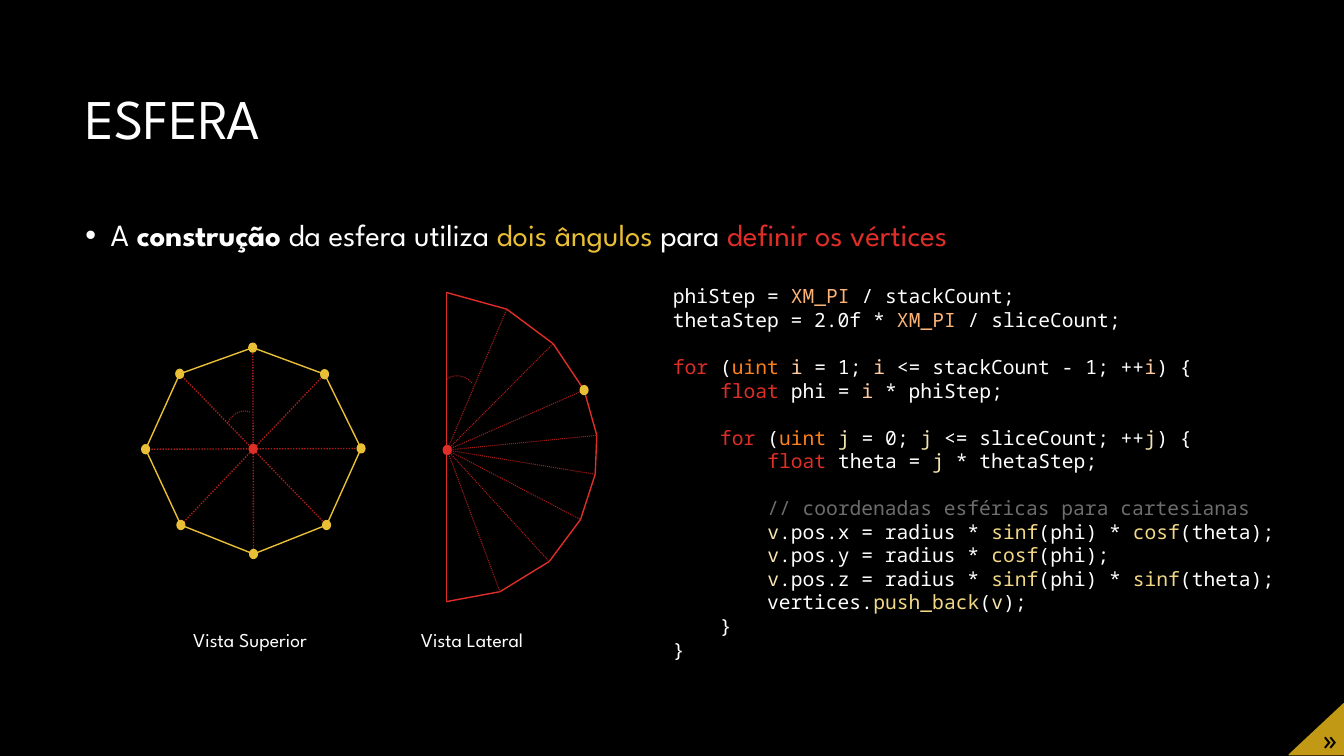
from itertools import pairwise
from typing import NamedTuple

from lxml.etree import SubElement
from pptx import Presentation
from pptx.dml.color import RGBColor
from pptx.enum.dml import MSO_LINE
from pptx.enum.shapes import MSO_CONNECTOR, MSO_SHAPE
from pptx.enum.text import MSO_ANCHOR, PP_ALIGN
from pptx.oxml.ns import qn
from pptx.util import Cm, Pt

BLACK = RGBColor(0x00, 0x00, 0x00)
WHITE = RGBColor(0xFF, 0xFF, 0xFF)
RED = RGBColor(0xDF, 0x2E, 0x28)
DARK_RED = RGBColor(0xAC, 0x1E, 0x1A)
YELLOW = RGBColor(0xE9, 0xBF, 0x35)
GOLD = RGBColor(0xC1, 0x99, 0x15)
ORANGE = RGBColor(0xFE, 0x80, 0x1A)
PEACH = RGBColor(0xFE, 0xB3, 0x76)
PALE_PEACH = RGBColor(0xFF, 0xCC, 0xA3)
CREAM = RGBColor(0xF6, 0xE5, 0xAE)
SAND = RGBColor(0xF2, 0xD9, 0x86)
GRAY = RGBColor(0x6D, 0x6D, 0x6D)

TEXT_FONT = "League Spartan"
CODE_FONT = "Noto Sans Mono"
CODE_LINE = Pt(16.85)


class Span(NamedTuple):
    text: str
    color: RGBColor = WHITE
    bold: bool = False


class Point(NamedTuple):
    x: float
    y: float


class Frame(NamedTuple):
    left: float
    top: float
    width: float
    height: float

    def lengths(self) -> list[Cm]:
        return [Cm(value) for value in self]


class Stroke(NamedTuple):
    color: RGBColor
    width: float = 1
    dotted: bool = False


class Caption(NamedTuple):
    text: str
    frame: Frame


I, J, V = Span("i", PALE_PEACH), Span("j", CREAM), Span("v", CREAM)
PI, FLOAT, UINT = Span("XM_PI ", PEACH), Span("float ", RED), Span("uint ", ORANGE)
SINF, COSF = Span("sinf", SAND), Span("cosf", SAND)
INDENT, DEEP_INDENT = Span("    "), Span("        ")

# Each block of lines is set apart by one empty line
CODE_BLOCKS = [
    [
        [Span("phiStep = "), PI, Span("/ stackCount;")],
        [Span("thetaStep = 2.0f * "), PI, Span("/ sliceCount;")],
    ],
    [
        [Span("for", RED), Span(" ("), UINT, I, Span(" = 1; "), I,
         Span(" <= stackCount - 1; ++"), I, Span(") {")],
        [INDENT, FLOAT, Span("phi = "), I, Span(" * phiStep;")],
    ],
    [
        [Span("    for", RED), Span(" ("), UINT, J, Span(" = 0; "), J,
         Span(" <= sliceCount; ++"), J, Span(") {")],
        [DEEP_INDENT, FLOAT, Span("theta = "), J, Span(" * thetaStep;")],
    ],
    [
        [DEEP_INDENT, Span("// coordenadas esféricas para cartesianas", GRAY)],
        [DEEP_INDENT, V, Span(".pos.x = radius * "), SINF, Span("(phi) * "), COSF, Span("(theta);")],
        [DEEP_INDENT, V, Span(".pos.y = radius * "), COSF, Span("(phi);")],
        [DEEP_INDENT, V, Span(".pos.z = radius * "), SINF, Span("(phi) * "), SINF, Span("(theta);")],
        [Span("        vertices."), Span("push_back", SAND), Span("("), V, Span(");")],
        [Span("    }")],
        [Span("}")],
    ],
]

TOP_CENTER = Point(6.38, 11.31)
TOP_RIM = [
    Point(6.37, 8.76), Point(8.18, 9.43), Point(9.1, 11.3), Point(8.23, 13.23),
    Point(6.39, 13.96), Point(4.56, 13.23), Point(3.67, 11.32), Point(4.53, 9.42),
]
SIDE_CENTER = Point(11.27, 11.34)
SIDE_RIM = [
    Point(11.25, 7.37), Point(12.77, 7.79), Point(13.94, 8.66), Point(14.72, 9.83),
    Point(15.04, 10.97), Point(15.0, 11.95), Point(14.63, 13.09), Point(13.84, 14.15),
    Point(12.6, 14.91), Point(11.25, 15.16),
]
CAPTIONS = [
    Caption("Vista Superior", Frame(4.62, 15.7, 3.73, 0.86)),
    Caption("Vista Lateral", Frame(10.36, 15.7, 3.45, 0.86)),
]


def add_box(shapes, frame: Frame, wrap: bool = True):
    box = shapes.add_textbox(*frame.lengths()).text_frame
    box.word_wrap = wrap
    return box


def add_spans(para, spans: list[Span], size: float, font: str = TEXT_FONT) -> None:
    for span in spans:
        run = para.add_run()
        run.text = span.text
        run.font.name = font
        run.font.size = Pt(size)
        run.font.bold = span.bold
        run.font.color.rgb = span.color


def apply_stroke(line, stroke: Stroke) -> None:
    line.color.rgb = stroke.color
    line.width = Pt(stroke.width)
    if stroke.dotted:
        line.dash_style = MSO_LINE.ROUND_DOT


def add_line(shapes, start: Point, end: Point, stroke: Stroke) -> None:
    line = shapes.add_connector(
        MSO_CONNECTOR.STRAIGHT, Cm(start.x), Cm(start.y), Cm(end.x), Cm(end.y))
    apply_stroke(line.line, stroke)
    SubElement(line._element.spPr, qn("a:effectLst"))


def add_dot(shapes, center: Point, color: RGBColor) -> None:
    width, height = 0.15, 0.18
    frame = Frame(center.x - width / 2, center.y - height / 2, width, height)
    dot = shapes.add_shape(MSO_SHAPE.OVAL, *frame.lengths())
    dot.shadow.inherit = False
    dot.fill.solid()
    dot.fill.fore_color.rgb = color
    apply_stroke(dot.line, Stroke(color, 2.25))


def add_angle(shapes, frame: Frame, rotation: float) -> None:
    arc = shapes.add_shape(MSO_SHAPE.ARC, *frame.lengths())
    arc.shadow.inherit = False
    arc.fill.background()
    arc.rotation = rotation
    apply_stroke(arc.line, Stroke(DARK_RED, 0.75, True))


def add_top_view(shapes) -> None:
    for start, end in zip(TOP_RIM[:4], TOP_RIM[4:]):
        add_line(shapes, start, end, Stroke(DARK_RED, 1, True))
    for start, end in pairwise(TOP_RIM + TOP_RIM[:1]):
        add_line(shapes, start, end, Stroke(YELLOW))
    add_dot(shapes, TOP_CENTER, RED)
    add_angle(shapes, Frame(5.64, 10.41, 0.97, 0.84), 291.9)
    for vertex in TOP_RIM:
        add_dot(shapes, vertex, YELLOW)


def add_side_view(shapes) -> None:
    add_angle(shapes, Frame(11.16, 9.44, 0.84, 0.97), 319.6)
    for start, end in pairwise(SIDE_RIM):
        add_line(shapes, start, end, Stroke(RED))
    add_line(shapes, SIDE_RIM[0], SIDE_RIM[-1], Stroke(RED, 0.75))
    for vertex in SIDE_RIM[1:-1]:
        add_line(shapes, SIDE_CENTER, vertex, Stroke(DARK_RED, 0.75, True))
    add_dot(shapes, SIDE_CENTER, RED)
    add_dot(shapes, SIDE_RIM[3], YELLOW)


def add_corner(shapes) -> None:
    builder = shapes.build_freeform(Cm(32.49), Cm(19.02))
    builder.add_line_segments([(Cm(33.87), Cm(17.73)), (Cm(33.87), Cm(19.02))])
    corner = builder.convert_to_shape()
    corner.shadow.inherit = False
    corner.fill.solid()
    corner.fill.fore_color.rgb = GOLD
    apply_stroke(corner.line, Stroke(GOLD))
    box = add_box(shapes, Frame(33, 18.19, 0.86, 0.86))
    box.margin_left = box.margin_right = box.margin_top = box.margin_bottom = 0
    box.vertical_anchor = MSO_ANCHOR.MIDDLE
    para = box.paragraphs[0]
    para.alignment = PP_ALIGN.CENTER
    para._p.get_or_add_pPr().set("marL", str(Cm(0.18)))
    add_spans(para, [Span("»", BLACK)], 20, CODE_FONT)


def add_statement(shapes) -> None:
    para = add_box(shapes, Frame(1.9, 5.23, 30.05, 11.91)).paragraphs[0]
    para.line_spacing = 1.1
    properties = para._p.get_or_add_pPr()
    properties.set("marL", str(Cm(0.64)))
    properties.set("indent", str(-Cm(0.64)))
    SubElement(properties, qn("a:buFont"), typeface="Arial")
    SubElement(properties, qn("a:buChar"), char="•")
    add_spans(para, [
        Span("A "), Span("construção", bold=True), Span(" da esfera utiliza "),
        Span("dois ângulos", YELLOW), Span(" para "), Span("definir os vértices", RED),
    ], 22)


def add_code(shapes) -> None:
    box = add_box(shapes, Frame(16.71, 7.04, 15.72, 9.83))
    for block_number, block in enumerate(CODE_BLOCKS):
        for line_number, spans in enumerate(block):
            first = block_number == line_number == 0
            para = box.paragraphs[0] if first else box.add_paragraph()
            if line_number == 0 and not first:
                para.space_before = CODE_LINE
            add_spans(para, spans, 14, CODE_FONT)


def main() -> None:
    deck = Presentation()
    deck.slide_width, deck.slide_height = Cm(33.87), Cm(19.05)
    page = deck.slides.add_slide(deck.slide_layouts[6])
    page.background.fill.solid()
    page.background.fill.fore_color.rgb = BLACK
    title = add_box(page.shapes, Frame(1.9, 1.27, 30.05, 3.58))
    title.vertical_anchor = MSO_ANCHOR.MIDDLE
    title.paragraphs[0].line_spacing = 0.9
    add_spans(title.paragraphs[0], [Span("ESFERA")], 40)
    add_statement(page.shapes)
    add_code(page.shapes)
    for caption in CAPTIONS:
        add_spans(add_box(page.shapes, caption.frame, wrap=False).paragraphs[0], [Span(caption.text)], 14)
    for draw_part in (add_corner, add_side_view, add_top_view):
        draw_part(page.shapes.add_group_shape().shapes)
    deck.save("out.pptx")


if __name__ == "__main__":
    main()
